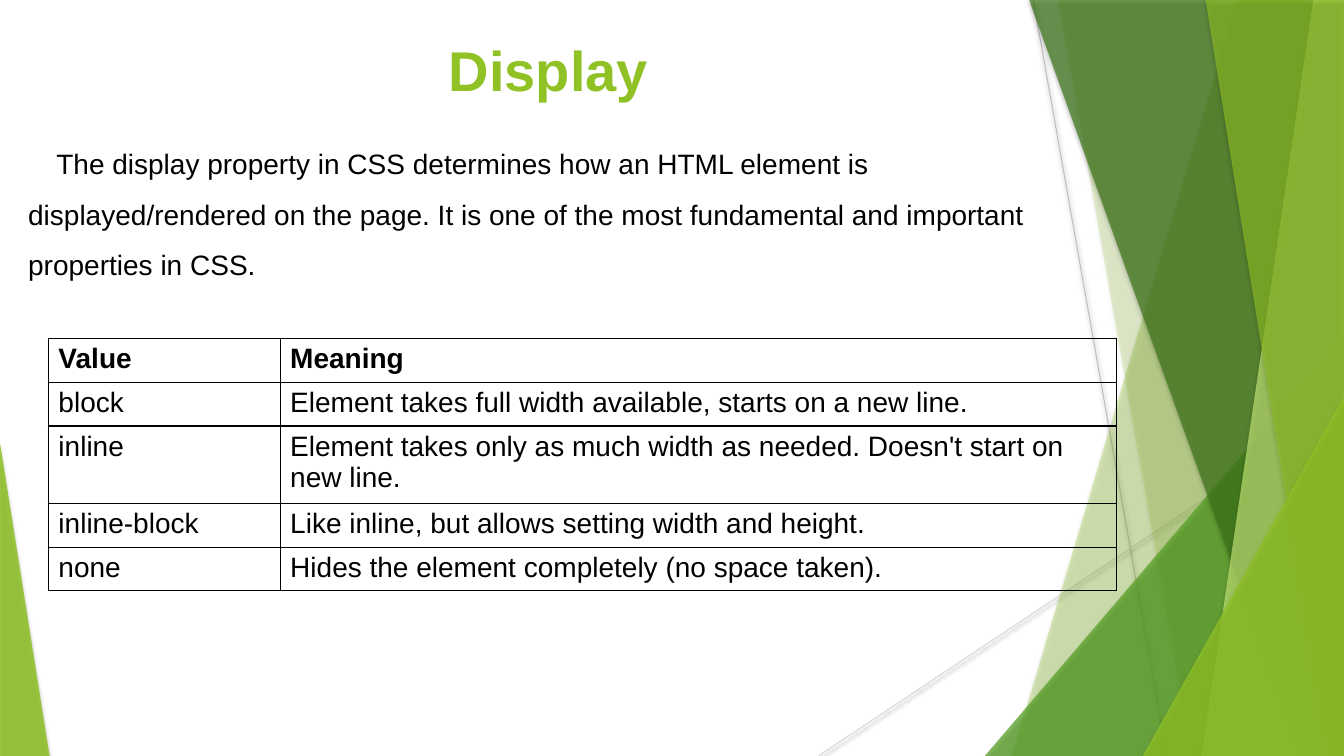
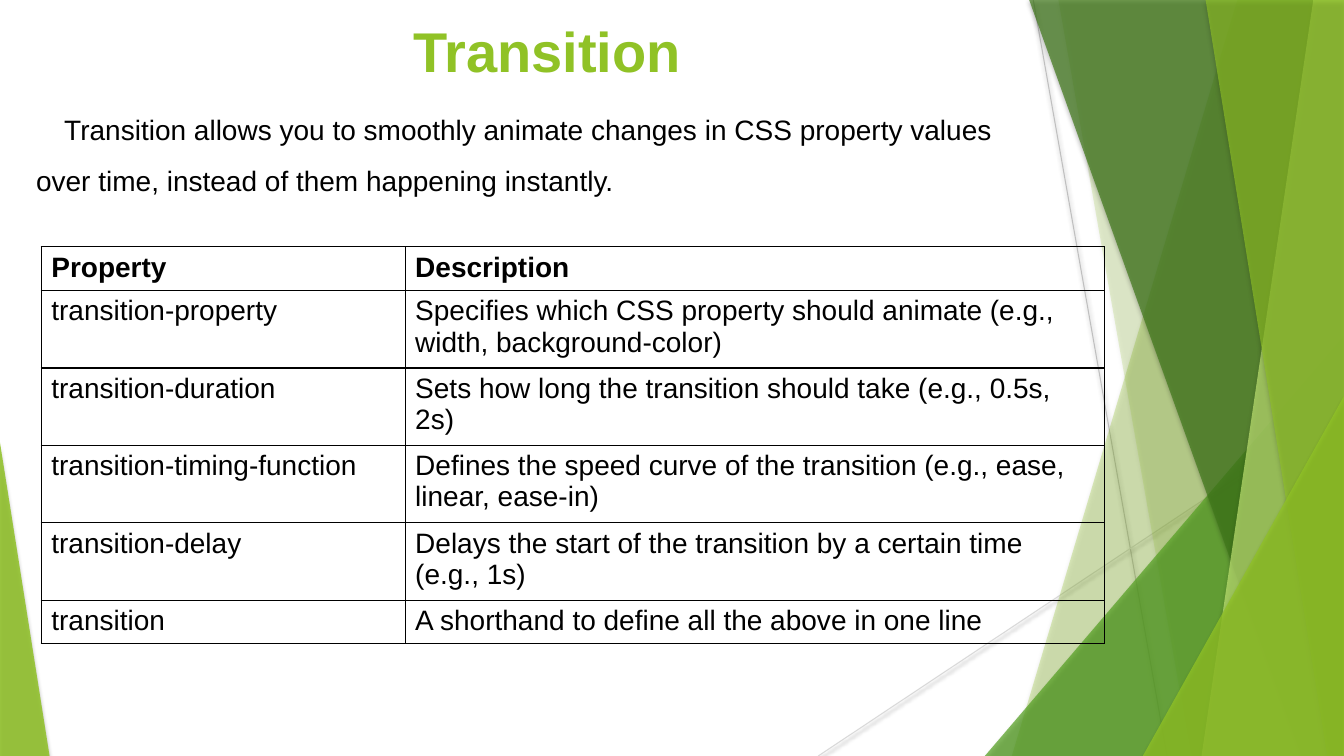
from lxml import etree
from pptx import Presentation
from pptx import util as u
from pptx.dml.color import RGBColor
from pptx.enum import shapes, text
from pptx.oxml import ns

WIDE, HIGH = 33.87, 19.05
TOP = -0.02
FONT = "Arial"
WHITE = RGBColor(0xFF, 0xFF, 0xFF)
BLACK = RGBColor(0, 0, 0)
LIME = RGBColor(0x90, 0xC2, 0x26)
GREEN = RGBColor(0x54, 0xA0, 0x21)
DARK = RGBColor(0x3F, 0x78, 0x19)
PALE = RGBColor(0xC0, 0xE4, 0x74)
GREY = RGBColor(0xBF, 0xBF, 0xBF)
SILVER = RGBColor(0xD9, 0xD9, 0xD9)
ONE, TWO = 1.1, 1.95


def cms(*nums):
    return [u.Cm(n) for n in nums]


def node(root, tag, **attrs):
    item = etree.SubElement(root, ns.qn(tag))
    for key, val in attrs.items():
        item.set(key, str(val))
    return item


def put(frame, words, size=20, color=BLACK, bold=False, align=None,
        space=None, indent=0):
    par = frame.paragraphs[0]
    par.text = words
    par.alignment = align
    par.line_spacing = space
    if indent:
        par._p.get_or_add_pPr().set("indent", str(u.Cm(indent)))
    font = par.runs[0].font
    font.name, font.size, font.bold = FONT, u.Pt(size), bold
    font.color.rgb = color


def shade(shape, alpha, blur, dist):
    effects = node(shape.element.spPr, "a:effectLst")
    outer = node(effects, "a:outerShdw", blurRad=u.Pt(blur), dist=u.Pt(dist),
                 dir=5400000, algn="ctr", rotWithShape=0)
    node(node(outer, "a:srgbClr", val="000000"), "a:alpha", val=alpha * 1000)


def tint(shape, color, alpha):
    shape.fill.solid()
    shape.fill.fore_color.rgb = color
    tone = shape.element.spPr.find(".//" + ns.qn("a:srgbClr"))
    node(tone, "a:alpha", val=alpha * 1000)
    shape.line.fill.background()
    shade(shape, 35, 3, 2)


def line(group, color, *ends):
    link = group.shapes.add_connector(shapes.MSO_CONNECTOR.STRAIGHT, *cms(*ends))
    link.line.color.rgb = color
    link.line.width = u.Pt(0.75)
    shade(link, 38, 3.1, 1.6)


def facet(group, color, alpha, high, low):
    pen = group.shapes.build_freeform(*cms(high, TOP))
    pen.add_line_segments([cms(*spot) for spot in
                           ((WIDE, TOP), (WIDE, HIGH), (low, HIGH))])
    tint(pen.convert_to_shape(), color, alpha)


def wedge(group, color, alpha, left, top, right=WIDE, tip=1):
    shape = group.shapes.add_shape(shapes.MSO_SHAPE.ISOSCELES_TRIANGLE,
                                   *cms(left, top, right - left, HIGH - top))
    shape.adjustments[0] = tip
    tint(shape, color, alpha)


def decor(slide, layout):
    group = slide.shapes.add_group_shape()
    line(group, GREY, 26.04, 0, 29.41, HIGH)
    line(group, SILVER, WIDE, 10.24, 20.62, HIGH)
    facet(group, LIME, 30, 31.19, 25.5)
    facet(group, LIME, 20, 26.67, 30.02)
    wedge(group, GREEN, 72, 24.82, 8.46)
    facet(group, DARK, 70, 25.93, 32.79)
    facet(group, PALE, 70, 33.1, 30.28)
    facet(group, LIME, 65, 30.38, 33.45)
    wedge(group, LIME, 80, 28.8, 9.98)
    wedge(group, LIME, 85, 0, 11.15, right=1.25, tip=0)
    for num, item in enumerate(group.element.xpath(".//p:cNvPr"), 100):
        item.set("id", str(num))
    layout.shapes.element.append(group.element)


def title(slide, words, left, top):
    head = slide.shapes.title
    head.left, head.top, head.width, head.height = cms(left, top, 23.88, 1.98)
    frame = head.text_frame
    frame.word_wrap = True
    frame.auto_size = text.MSO_AUTO_SIZE.NONE
    frame.vertical_anchor = text.MSO_ANCHOR.MIDDLE
    put(frame, words, size=40, color=LIME, bold=True, align=text.PP_ALIGN.CENTER)


def body(slide, words, left, top, width):
    frame = slide.shapes.add_textbox(*cms(left, top, width, 4.06)).text_frame
    frame.word_wrap = True
    frame.auto_size = text.MSO_AUTO_SIZE.SHAPE_TO_FIT_TEXT
    put(frame, words, space=1.5, indent=0.71)


def edge(cell):
    props = cell._tc.get_or_add_tcPr()
    for side in "LRTB":
        rule = node(props, "a:ln" + side, w=u.Pt(0.96))
        node(node(rule, "a:solidFill"), "a:srgbClr", val=str(BLACK))
    cell.fill.background()


def table(slide, left, top, widths, rows):
    tall = sum(row[0] for row in rows)
    grid = slide.shapes.add_table(len(rows), len(widths),
                                  *cms(left, top, sum(widths), tall)).table
    grid.first_row = grid.horz_banding = False
    for col, width in zip(grid.columns, widths):
        col.width = u.Cm(width)
    for r, (height, *words) in enumerate(rows):
        grid.rows[r].height = u.Cm(height)
        for c, word in enumerate(words):
            cell = grid.cell(r, c)
            edge(cell)
            put(cell.text_frame, word, bold=r == 0)


def main():
    deck = Presentation()
    deck.slide_width, deck.slide_height = cms(WIDE, HIGH)
    layout = deck.slide_layouts[5]
    layout.background.fill.solid()
    layout.background.fill.fore_color.rgb = WHITE

    slide = deck.slides.add_slide(layout)
    decor(slide, layout)
    title(slide, "Display", 1.88, 0.76)
    body(slide, "The display property in CSS determines how an HTML element is "
         "displayed/rendered on the page. It is one of the most fundamental and "
         "important properties in CSS.", 0.46, 3.15, 26.72)
    table(slide, 1.22, 8.53, (5.84, 21.08), (
        (ONE, "Value", "Meaning"),
        (ONE, "block", "Element takes full width available, starts on a new line."),
        (TWO, "inline", "Element takes only as much width as needed. "
         "Doesn't start on new line."),
        (ONE, "inline-block", "Like inline, but allows setting width and height."),
        (ONE, "none", "Hides the element completely (no space taken)."),
    ))

    slide = deck.slides.add_slide(layout)
    title(slide, "Transition", 1.85, 0.28)
    body(slide, "Transition allows you to smoothly animate changes in CSS property "
         "values over time, instead of them happening instantly.", 0.66, 2.29, 25.07)
    table(slide, 1.04, 6.22, (9.17, 17.63), (
        (ONE, "Property", "Description"),
        (TWO, "transition-property", "Specifies which CSS property should animate "
         "(e.g., width, background-color)"),
        (TWO, "transition-duration",
         "Sets how long the transition should take (e.g., 0.5s, 2s)"),
        (TWO, "transition-timing-function", "Defines the speed curve of the "
         "transition (e.g., ease, linear, ease-in)"),
        (TWO, "transition-delay",
         "Delays the start of the transition by a certain time (e.g., 1s)"),
        (ONE, "transition", "A shorthand to define all the above in one line"),
    ))
    deck.save("out.pptx")


if __name__ == "__main__":
    main()
